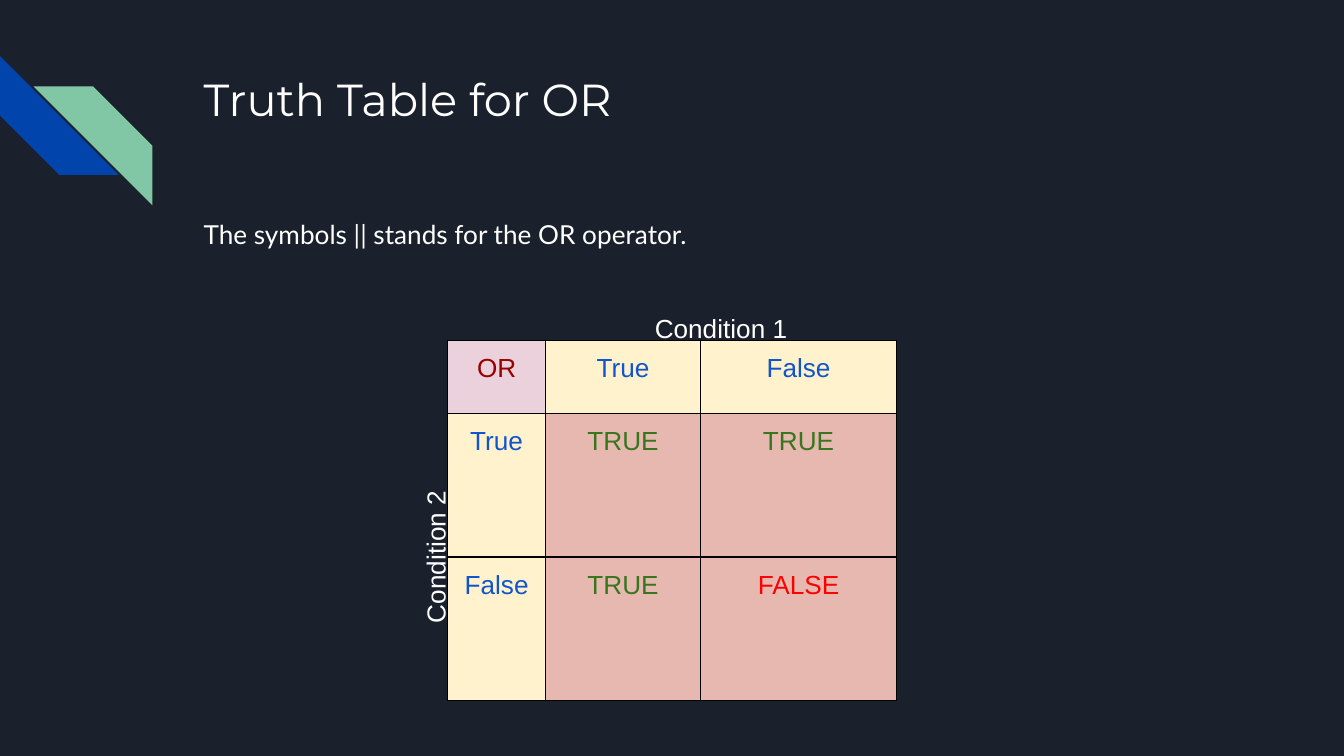
from collections import namedtuple
from dataclasses import dataclass

from lxml.etree import SubElement
from pptx import Presentation
from pptx.dml.color import RGBColor
from pptx.enum.shapes import MSO_SHAPE
from pptx.enum.text import MSO_ANCHOR, PP_ALIGN
from pptx.oxml.ns import qn
from pptx.util import Pt

Box = namedtuple("Box", "left top width height")


@dataclass(frozen=True)
class Theme:
    """Colours, fonts and type sizes of the slide."""
    background: str = "1B212C"
    blue_stripe: str = "0145AC"
    green_stripe: str = "82C7A5"
    text: str = "FFFFFF"
    operator: str = "980000"
    operand: str = "1155CC"
    true: str = "38761D"
    false: str = "FF0000"
    corner_fill: str = "EAD1DC"
    header_fill: str = "FFF2CC"
    result_fill: str = "E6B8AF"
    border: str = "000000"
    title_font: str = "Montserrat"
    body_font: str = "Lato"
    table_font: str = "Arial"
    title_size: int = 24
    text_size: int = 14
    border_width: float = 0.75
    inset: float = 7.2


THEME = Theme()
COLUMN_WIDTHS = (52.5, 83, 105)
ROW_HEIGHTS = (39.2, 77, 77)


def paint(fill, colour):
    """Give a fill one solid colour."""
    fill.solid()
    fill.fore_color.rgb = RGBColor.from_string(colour)


def write(frame, words, font, size, colour, align=PP_ALIGN.LEFT):
    """Put one styled run into the first paragraph and return that paragraph."""
    paragraph = frame.paragraphs[0]
    paragraph.alignment = align
    run = paragraph.add_run()
    run.text = words
    run.font.name, run.font.size = font, Pt(size)
    run.font.color.rgb = RGBColor.from_string(colour)
    return paragraph


def set_margins(holder):
    """Apply the common inset to a text frame or a table cell."""
    holder.margin_left = holder.margin_right = Pt(THEME.inset)
    holder.margin_top = holder.margin_bottom = Pt(THEME.inset)
    holder.vertical_anchor = MSO_ANCHOR.TOP


def add_text(slide, box, words, font, size, align=PP_ALIGN.LEFT, rotation=0):
    """Add a wrapped text box and return its paragraph."""
    label = slide.shapes.add_textbox(*map(Pt, box))
    label.rotation = rotation
    label.text_frame.word_wrap = True
    set_margins(label.text_frame)
    return write(label.text_frame, words, font, size, THEME.text, align)


def add_stripes(slide, box):
    """Draw the two interlocking corner stripes, offset across the box."""
    side = 63.7
    stripes = (
        (box.left, box.top, 270, THEME.blue_stripe),
        (box.left + box.width - side, box.top + box.height - side, 90, THEME.green_stripe),
    )
    for left, top, rotation, colour in stripes:
        stripe = slide.shapes.add_shape(MSO_SHAPE.DIAGONAL_STRIPE, Pt(left), Pt(top), Pt(side), Pt(side))
        stripe.rotation = rotation
        stripe.shadow.inherit = False
        paint(stripe.fill, colour)
        stripe.line.fill.background()


def add_heading(slide, box):
    """Place the title at the top of the box and the sentence at its foot."""
    add_text(slide, Box(box.left, box.top, box.width, 72), "Truth Table for OR",
             THEME.title_font, THEME.title_size)
    sentence_height = 30
    sentence = add_text(slide, Box(box.left, box.top + box.height - sentence_height, box.width, sentence_height),
                        "The symbols || stands for the OR operator.", THEME.body_font, THEME.text_size)
    sentence.line_spacing = 1.15
    sentence.space_after = Pt(16)


def add_borders(cell):
    """Outline all four sides of a cell, ahead of its fill in the XML."""
    properties = cell._tc.get_or_add_tcPr()
    for index, side in enumerate(("a:lnL", "a:lnR", "a:lnT", "a:lnB")):
        edge = SubElement(properties, qn(side), w=str(Pt(THEME.border_width)))
        SubElement(SubElement(edge, qn("a:solidFill")), qn("a:srgbClr"), val=THEME.border)
        properties.insert(index, edge)


def cell_colours(row, column, words):
    """Return the fill and text colours that a cell's role calls for."""
    if row == column == 0:
        return THEME.corner_fill, THEME.operator
    if row == 0 or column == 0:
        return THEME.header_fill, THEME.operand
    return THEME.result_fill, THEME.true if words == "TRUE" else THEME.false


def add_truth_table(slide, box):
    """Fill the box with the truth table and label its top and left sides."""
    operands = (True, False)
    rows = [["OR", *map(str, operands)]]
    rows += [[str(second), *(str(first or second).upper() for first in operands)] for second in operands]
    table = slide.shapes.add_table(len(rows), len(rows[0]), *map(Pt, box)).table
    table.first_row = table.horz_banding = False
    for column, width in zip(table.columns, COLUMN_WIDTHS):
        column.width = Pt(width)
    for row, height in zip(table.rows, ROW_HEIGHTS):
        row.height = Pt(height)
    for r, row in enumerate(rows):
        for c, words in enumerate(row):
            cell = table.cell(r, c)
            fill, colour = cell_colours(r, c, words)
            set_margins(cell)
            paint(cell.fill, fill)
            add_borders(cell)
            write(cell.text_frame, words, THEME.table_font, THEME.text_size, colour, PP_ALIGN.CENTER)

    label_height, top_width, side_width = 22.3, 188, 154
    top_label = Box(box.left + COLUMN_WIDTHS[0], box.top - label_height, top_width, label_height)
    side_middle = box.top + ROW_HEIGHTS[0] + sum(ROW_HEIGHTS[1:]) / 2
    side_label = Box(box.left - label_height / 2 - side_width / 2, side_middle - label_height / 2,
                     side_width, label_height)
    for words, place, rotation in (("Condition 1", top_label, 0), ("Condition 2", side_label, 270)):
        add_text(slide, place, words, THEME.table_font, THEME.text_size, PP_ALIGN.CENTER, rotation)


def build():
    """Assemble and save the slide."""
    deck = Presentation()
    deck.slide_width, deck.slide_height = Pt(720), Pt(405)
    slide = deck.slides.add_slide(deck.slide_layouts[6])
    paint(slide.background.fill, THEME.background)
    add_stripes(slide, Box(0, 30, 81.7, 80))
    add_heading(slide, Box(102, 31, 554.5, 106.3))
    add_truth_table(slide, Box(239.8, 182.3, sum(COLUMN_WIDTHS), sum(ROW_HEIGHTS)))
    deck.save("out.pptx")


build()
